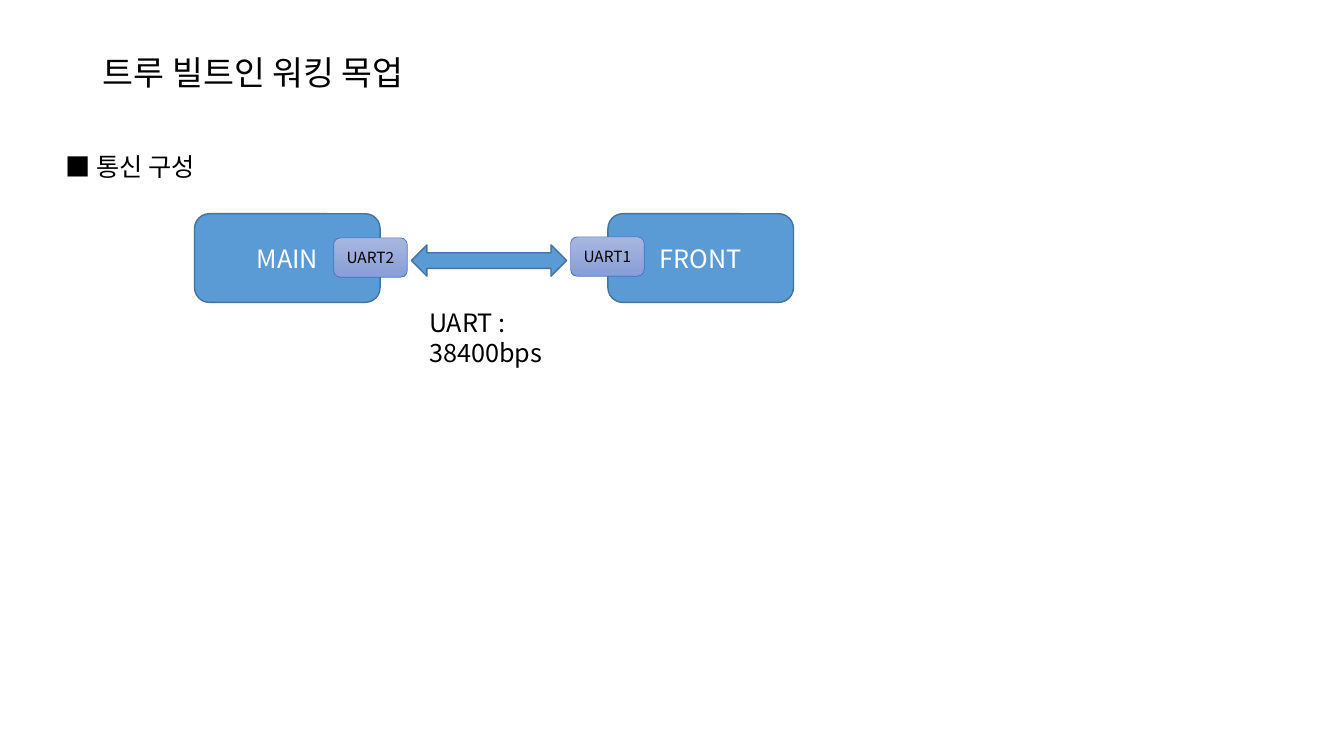
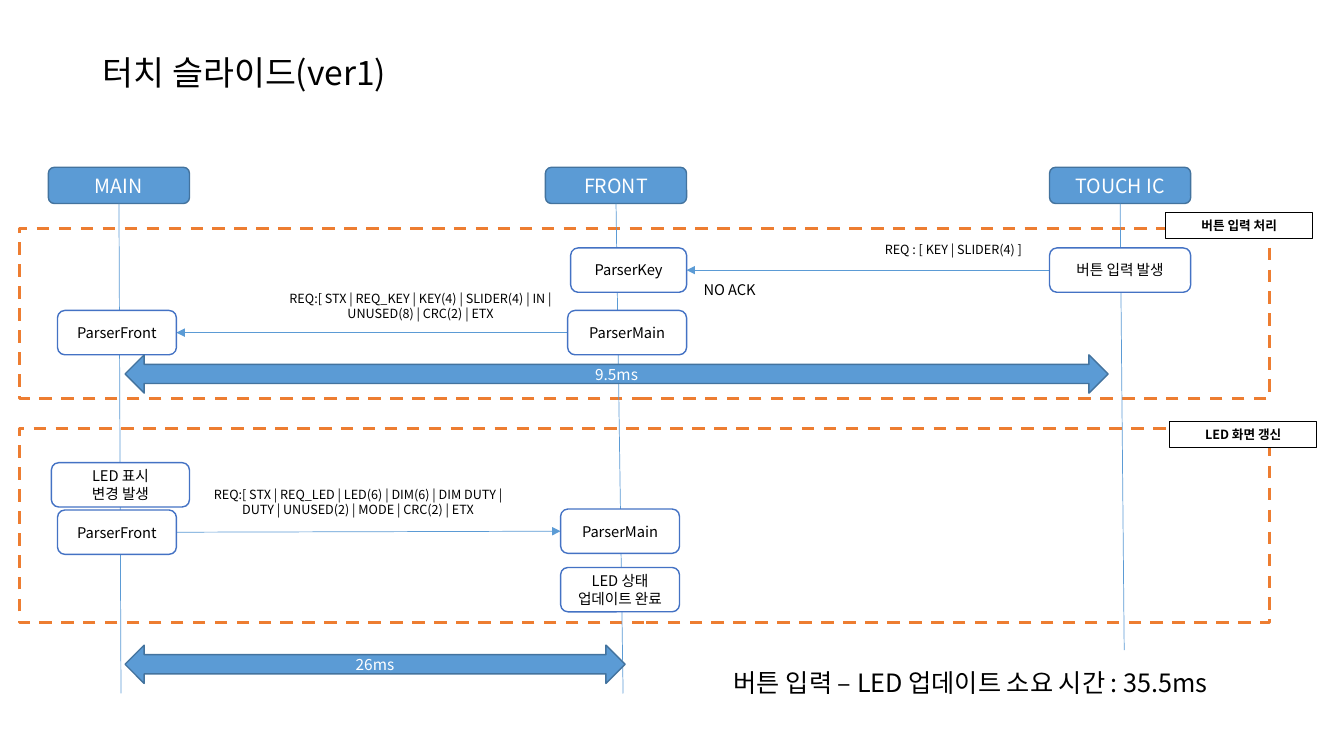
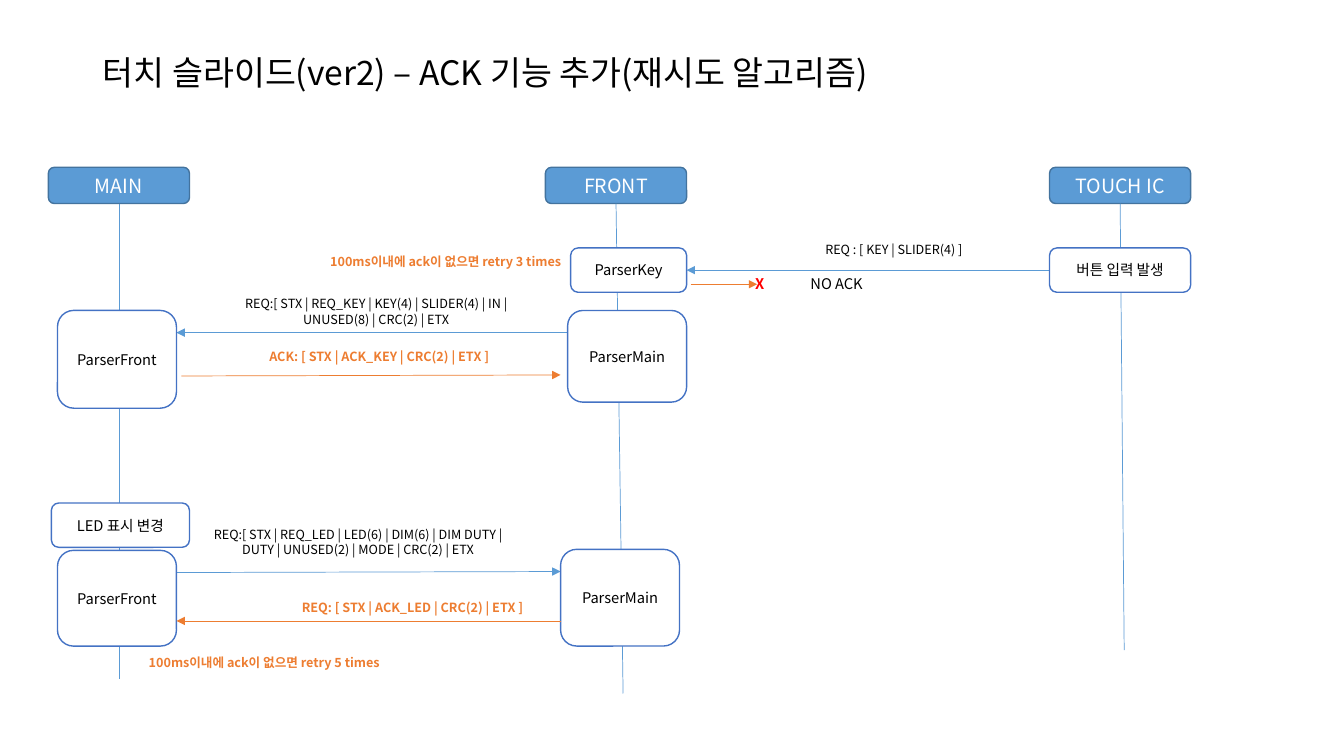
from dataclasses import dataclass

from lxml import etree
from pptx import Presentation
from pptx.dml.color import RGBColor
from pptx.enum.dml import MSO_LINE
from pptx.enum.shapes import MSO_CONNECTOR, MSO_SHAPE
from pptx.enum.text import MSO_ANCHOR, MSO_AUTO_SIZE, PP_ALIGN
from pptx.oxml.ns import qn
from pptx.util import Inches, Pt

STRAIGHT = MSO_CONNECTOR.STRAIGHT
ROUNDED = MSO_SHAPE.ROUNDED_RECTANGLE
RECTANGLE = MSO_SHAPE.RECTANGLE
DOUBLE_ARROW = MSO_SHAPE.LEFT_RIGHT_ARROW
DASH = MSO_LINE.DASH
MIDDLE = MSO_ANCHOR.MIDDLE
GROW = MSO_AUTO_SIZE.SHAPE_TO_FIT_TEXT
LEFT = PP_ALIGN.LEFT
CENTER = PP_ALIGN.CENTER

BLACK = RGBColor(0x00, 0x00, 0x00)
WHITE = RGBColor(0xFF, 0xFF, 0xFF)
BLUE = RGBColor(0x5B, 0x9B, 0xD5)
DARK_BLUE = RGBColor(0x43, 0x73, 0x9E)
ROYAL_BLUE = RGBColor(0x44, 0x72, 0xC4)
PORT_TOP = RGBColor(0xA8, 0xB7, 0xDF)
PORT_BOTTOM = RGBColor(0x88, 0x9E, 0xD7)
ORANGE = RGBColor(0xED, 0x7D, 0x31)
RED = RGBColor(0xFF, 0x00, 0x00)

FONT = "Noto Sans CJK KR"
TITLE_ONLY = 5
STEP_HEIGHT = 0.44
STEP_WIDTH = 1.18
MESSAGE_WIDTH = 3.14
TOUCH_REQUEST = "REQ : [ KEY | SLIDER(4) ]"
KEY_REQUEST = "REQ:[ STX | REQ_KEY | KEY(4) | SLIDER(4) | IN | UNUSED(8) | CRC(2) | ETX"
LED_REQUEST = ("REQ:[ STX | REQ_LED | LED(6) | DIM(6) | DIM DUTY | DUTY"
               " | UNUSED(2) | MODE | CRC(2) | ETX")


@dataclass
class Box:
    left: float
    top: float
    width: float
    height: float

    def inside(self, x, y, width, height):
        return Box(self.left + x, self.top + y, width, height)

    def point(self, x, y):
        return self.left + x, self.top + y

    def lengths(self):
        return [Inches(value) for value in (self.left, self.top, self.width, self.height)]


def write(text_frame, text, size, color, alignment, bold=False):
    text_frame.text = text
    for paragraph in text_frame.paragraphs:
        paragraph.alignment = alignment
        for run in paragraph.runs:
            run.font.size = Pt(size)
            run.font.bold = bold
            run.font.color.rgb = color
            run.font.name = FONT
            east_asian = etree.SubElement(run.font._element, qn("a:ea"))
            east_asian.set("typeface", FONT)


def add_title_slide(presentation, title):
    slide = presentation.slides.add_slide(presentation.slide_layouts[TITLE_ONLY])
    shape = slide.shapes.title
    shape.left, shape.top, shape.width, shape.height = Box(0.92, 0.4, 11.5, 0.69).lengths()
    shape.text_frame.vertical_anchor = MIDDLE
    write(shape.text_frame, title, 24, BLACK, LEFT)
    shape.text_frame.paragraphs[0].line_spacing = 0.9
    return slide


def add_box(slide, kind, box, text="", size=10.5, color=BLACK, fill=WHITE,
            line=ROYAL_BLUE, line_width=1, bold=False):
    shape = slide.shapes.add_shape(kind, *box.lengths())
    shape.shadow.inherit = False
    shape.fill.solid()
    shape.fill.fore_color.rgb = fill
    shape.line.color.rgb = line
    shape.line.width = Pt(line_width)
    if text:
        write(shape.text_frame, text, size, color, CENTER, bold)
    return shape


def add_blue(slide, kind, box, text="", size=11):
    return add_box(slide, kind, box, text, size, WHITE, BLUE, DARK_BLUE)


def add_text(slide, box, text, size=9, color=BLACK, alignment=CENTER, bold=False):
    shape = slide.shapes.add_textbox(*box.lengths())
    shape.text_frame.word_wrap = True
    shape.text_frame.auto_size = GROW
    write(shape.text_frame, text, size, color, alignment, bold)


def add_message(slide, position, text, lines=1, color=BLACK):
    box = Box(*position, MESSAGE_WIDTH, 0.25 if lines == 1 else 0.4)
    add_text(slide, box, text, 9, color, CENTER, color != BLACK)


def add_line(slide, start, end, color=BLUE, arrow=True):
    points = [Inches(value) for value in (*start, *end)]
    connector = slide.shapes.add_connector(STRAIGHT, *points)
    connector.line.color.rgb = color
    connector.line.width = Pt(0.5)
    if arrow:
        etree.SubElement(connector.line._get_or_add_ln(), qn("a:tailEnd"), type="triangle")
    etree.SubElement(connector._element.spPr, qn("a:effectLst"))


def add_port(slide, box, text):
    port = add_box(slide, ROUNDED, box, text, 11, line_width=0.5)
    port.fill.gradient()
    port.fill.gradient_angle = 270
    for stop, color in zip(port.fill.gradient_stops, (PORT_TOP, PORT_BOTTOM)):
        stop.color.rgb = color


def draw_link(slide, box):
    for x, name in ((0, "MAIN"), (4.1, "FRONT")):
        add_blue(slide, ROUNDED, box.inside(x, 0, 1.84, 0.88), name, 18)
    add_blue(slide, DOUBLE_ARROW, box.inside(2.15, 0.31, 1.54, 0.31))
    add_text(slide, box.inside(2.23, 0.88, 1.74, 0.71), "UART : 38400bps", 18, alignment=LEFT)
    add_port(slide, box.inside(3.73, 0.23, 0.73, 0.39), "UART1")
    add_port(slide, box.inside(1.38, 0.24, 0.73, 0.39), "UART2")


def draw_lanes(slide, box, main_drift, main_length):
    lanes = (("MAIN", 0, main_drift, main_length),
             ("FRONT", 4.93, 0.07, 4.86),
             ("TOUCH IC", 9.93, 0.04, 4.43))
    for name, x, drift, length in lanes:
        header = box.inside(x, 0, 1.4, 0.36)
        add_blue(slide, ROUNDED, header, name, 14)
        add_line(slide, header.point(0.7, 0.36), header.point(0.7 + drift, 0.36 + length),
                 arrow=False)


def draw_steps(slide, box, steps):
    for text, *place in steps:
        add_box(slide, ROUNDED, box.inside(*place), text)


def draw_key_input(slide, box, front_height, main_height):
    add_line(slide, box.point(9.84, 0.22), box.point(6.24, 0.22))
    add_line(slide, box.point(5.06, 0.84), box.point(1.18, 0.84))
    draw_steps(slide, box, (
        ("버튼 입력 발생", 9.84, 0, 1.4, STEP_HEIGHT),
        ("ParserKey", 5.09, 0, 1.15, STEP_HEIGHT),
        ("ParserMain", 5.06, 0.62, STEP_WIDTH, main_height),
        ("ParserFront", 0, 0.62, STEP_WIDTH, front_height)))


def draw_led_update(slide, box, change_text, front_height, main_height):
    add_line(slide, box.point(1.18, 0.69), box.point(4.99, 0.68))
    draw_steps(slide, box, (
        (change_text, -0.06, 0, 1.37, STEP_HEIGHT),
        ("ParserFront", 0, 0.47, STEP_WIDTH, front_height),
        ("ParserMain", 4.99, 0.46, STEP_WIDTH, main_height)))
    add_message(slide, box.point(1.41, 0.19), LED_REQUEST, 2)


def draw_frame(slide, box):
    frame = add_box(slide, RECTANGLE, box, line=ORANGE, line_width=2.25)
    frame.line.dash_style = DASH


def draw_frame_label(slide, position, text):
    add_box(slide, RECTANGLE, Box(*position, 1.46, 0.26), text, 9,
            line=BLACK, line_width=0.75, bold=True)


def build_link_slide(presentation):
    slide = add_title_slide(presentation, "트루 빌트인 워킹 목업")
    draw_link(slide, Box(1.93, 2.12, 5.94, 1.59))
    add_text(slide, Box(0.55, 1.45, 4.34, 0.4), "■ 통신 구성", 18, alignment=LEFT)


def build_first_version(presentation):
    slide = add_title_slide(presentation, "터치 슬라이드(ver1)")
    key_frame = Box(0.19, 2.27, 12.4, 1.68)
    led_frame = Box(0.19, 4.25, 12.4, 1.93)
    draw_frame(slide, led_frame)
    draw_frame(slide, key_frame)
    draw_lanes(slide, Box(0.48, 1.66, 11.33, 5.22), 0.02, 4.86)

    key_box = key_frame.inside(0.38, 0.19, 11.24, 1.44)
    draw_key_input(slide, key_box, STEP_HEIGHT, STEP_HEIGHT)
    add_message(slide, key_box.point(2.03, 0.38), KEY_REQUEST, 2)
    add_text(slide, key_box.inside(7.95, -0.11, 1.87, 0.25), TOUCH_REQUEST)
    add_text(slide, key_box.inside(6.31, 0.28, 1.87, 0.29), "NO ACK", 10.5, alignment=LEFT)

    led_box = led_frame.inside(0.38, 0.34, 6.17, 1.48)
    draw_led_update(slide, led_box, "LED 표시\n변경 발생", STEP_HEIGHT, STEP_HEIGHT)
    add_box(slide, ROUNDED, led_box.inside(4.99, 1.04, STEP_WIDTH, STEP_HEIGHT),
            "LED 상태\n업데이트 완료")

    draw_frame_label(slide, led_frame.point(11.41, -0.07), "LED 화면 갱신")
    draw_frame_label(slide, key_frame.point(11.37, -0.16), "버튼 입력 처리")
    add_blue(slide, DOUBLE_ARROW, key_box.inside(0.67, 1.06, 9.75, 0.38), "9.5ms")
    add_blue(slide, DOUBLE_ARROW, led_box.inside(0.67, 1.81, 4.96, 0.38), "26ms")
    add_text(slide, Box(7.18, 6.57, 5.84, 0.4), "버튼 입력 – LED 업데이트 소요 시간 : 35.5ms",
             18, alignment=LEFT)


def build_second_version(presentation):
    slide = add_title_slide(presentation, "터치 슬라이드(ver2) – ACK 기능 추가(재시도 알고리즘)")
    draw_lanes(slide, Box(0.48, 1.66, 11.33, 5.22), 0, 4.72)

    key_box = Box(0.57, 2.46, 11.24, 1.59)
    draw_key_input(slide, key_box, 0.97, 0.91)
    add_message(slide, key_box.point(1.59, 0.43), KEY_REQUEST, 2)
    add_text(slide, key_box.inside(7.36, -0.11, 1.87, 0.25), TOUCH_REQUEST)
    add_text(slide, key_box.inside(7.37, 0.22, 0.78, 0.29), "NO ACK", 10.5, alignment=LEFT)
    add_line(slide, key_box.point(1.23, 1.27), key_box.point(4.99, 1.26), ORANGE)
    add_message(slide, key_box.point(2.28, 0.01),
                "100ms이내에 ack이 없으면 retry 3 times", color=ORANGE)
    add_message(slide, key_box.point(1.62, 0.95),
                "ACK: [ STX | ACK_KEY | CRC(2) | ETX ]", color=ORANGE)
    add_line(slide, key_box.point(6.28, 0.36), key_box.point(6.94, 0.36), ORANGE)
    add_text(slide, key_box.inside(6.82, 0.22, 0.26, 0.29), "X", 10.5, RED, LEFT, True)

    led_box = Box(0.57, 4.99, 6.17, 1.43)
    draw_led_update(slide, led_box, "LED 표시 변경", 0.95, 0.96)
    add_line(slide, led_box.point(4.99, 1.17), led_box.point(1.18, 1.17), ORANGE)
    add_message(slide, led_box.point(1.95, 0.91),
                "REQ: [ STX | ACK_LED | CRC(2) | ETX ]", color=ORANGE)
    add_message(slide, led_box.point(0.48, 1.46),
                "100ms이내에 ack이 없으면 retry 5 times", color=ORANGE)


def main():
    presentation = Presentation()
    presentation.slide_width = Inches(13.33)
    presentation.slide_height = Inches(7.5)
    build_link_slide(presentation)
    build_first_version(presentation)
    build_second_version(presentation)
    presentation.save("out.pptx")


if __name__ == "__main__":
    main()
